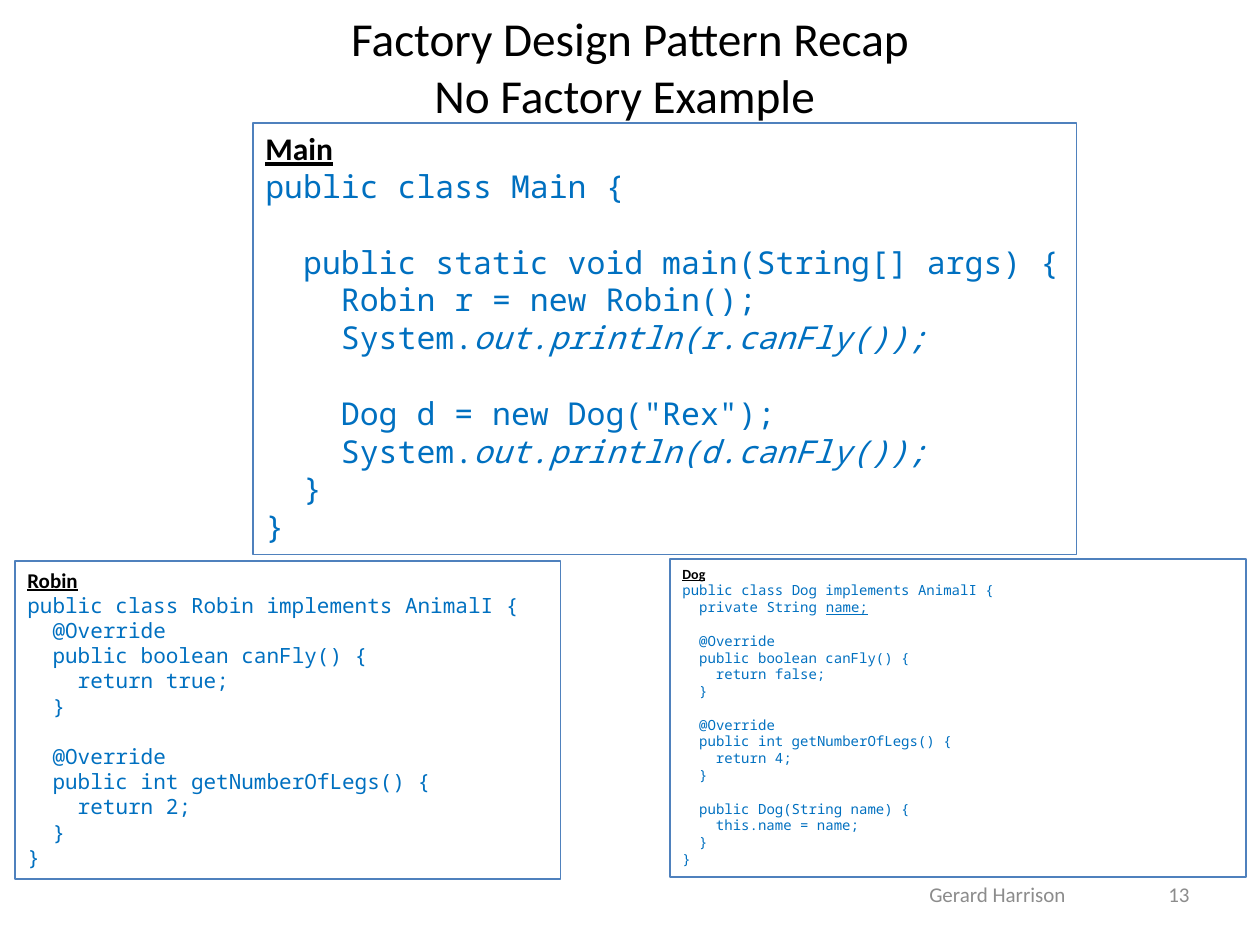
from dataclasses import dataclass

from pptx import Presentation
from pptx.dml.color import RGBColor
from pptx.enum.shapes import MSO_SHAPE
from pptx.enum.text import MSO_ANCHOR, MSO_AUTO_SIZE, PP_ALIGN
from pptx.util import Emu, Pt

PIXEL = 914400 // 126
CODE_ADVANCE = 0.6  # character width of the code font, in ems
LINE_PITCH = 1.2  # height of a code line, in ems


@dataclass(frozen=True)
class Theme:
    """Fonts, colours and type sizes of the slide."""
    text_font: str = "Calibri"
    code_font: str = "Noto Sans Mono"
    ink: str = "000000"
    code: str = "0070C0"
    border: str = "4F81BD"
    muted: str = "8C8C8C"
    title_size: int = 27
    footer_size: int = 12
    main_size: int = 18
    robin_size: int = 12
    dog_size: int = 8


theme = Theme()


def to_emu(box):
    """Turn pixel lengths into EMU."""
    return [Emu(length * PIXEL) for length in box]


def add_run(paragraph, text, size, color, **formats):
    """Add a run with its size, colour and font settings."""
    run = paragraph.add_run()
    run.text = text
    run.font.color.rgb = RGBColor.from_string(color)
    settings = {"size": Pt(size), "name": theme.text_font, **formats}
    for name, value in settings.items():
        setattr(run.font, name, value)


# Two-space steps set the indent, an empty line a gap, and ~ starts emphasis.
main_code = """public class Main {

  public static void main(String[] args) {
    Robin r = new Robin();
    System.~out.println(r.canFly());

    Dog d = new Dog("Rex");
    System.~out.println(d.canFly());
  }
}"""

robin_code = """public class Robin implements AnimalI {
  @Override
  public boolean canFly() {
    return true;
  }

  @Override
  public int getNumberOfLegs() {
    return 2;
  }
}"""

dog_code = """public class Dog implements AnimalI {
  private String ~name;

  @Override
  public boolean canFly() {
    return false;
  }

  @Override
  public int getNumberOfLegs() {
    return 4;
  }

  public Dog(String name) {
    this.name = name;
  }
}"""

panels = [
    ("Main", main_code, theme.main_size, {"italic": True}, (253, 123, 824, 432)),
    ("Robin", robin_code, theme.robin_size, {}, (15, 561, 546, 318)),
    ("Dog", dog_code, theme.dog_size, {"underline": True}, (670, 559, 576, 318)),
]

footers = [
    ("Gerard Harrison", PP_ALIGN.CENTER, (798, 869, 399, 50)),
    ("13", PP_ALIGN.RIGHT, (908, 869, 294, 50)),
]

presentation = Presentation()
presentation.slide_width, presentation.slide_height = to_emu((1260, 945))
slide = presentation.slides.add_slide(presentation.slide_layouts[5])

title = slide.shapes.title
title.left, title.top, title.width, title.height = to_emu((63, 37, 1134, 58))
title.text_frame.auto_size = MSO_AUTO_SIZE.NONE
title.text_frame.vertical_anchor = MSO_ANCHOR.MIDDLE
title_paragraph = title.text_frame.paragraphs[0]
title_paragraph.alignment = PP_ALIGN.CENTER
add_run(title_paragraph, "Factory Design Pattern Recap", theme.title_size, theme.ink)
title_paragraph.add_line_break()
add_run(title_paragraph, "No Factory Example ", theme.title_size, theme.ink)

for text, alignment, box in footers:
    footer = slide.shapes.add_textbox(*to_emu(box))
    footer.text_frame.word_wrap = True
    footer.text_frame.vertical_anchor = MSO_ANCHOR.MIDDLE
    paragraph = footer.text_frame.paragraphs[0]
    paragraph.alignment = alignment
    add_run(paragraph, text, theme.footer_size, theme.muted)

for heading, code, size, emphasis, box in panels:
    panel = slide.shapes.add_shape(MSO_SHAPE.RECTANGLE, *to_emu(box))
    panel.shadow.inherit = False
    panel.fill.background()
    panel.line.color.rgb = RGBColor.from_string(theme.border)
    panel.line.width = Pt(0.75)
    frame = panel.text_frame
    frame.word_wrap = True
    frame.auto_size = MSO_AUTO_SIZE.SHAPE_TO_FIT_TEXT
    frame.vertical_anchor = MSO_ANCHOR.TOP

    paragraph = frame.paragraphs[0]
    paragraph.alignment = PP_ALIGN.LEFT
    add_run(paragraph, heading, size, theme.ink, bold=True, underline=True)

    gap = 0
    for line in code.splitlines():
        if not line:
            gap = LINE_PITCH * size
            continue
        paragraph = frame.add_paragraph()
        paragraph.alignment = PP_ALIGN.LEFT
        paragraph.space_before = Pt(gap)
        gap = 0
        statement = line.lstrip()
        indent = Pt((len(line) - len(statement)) * CODE_ADVANCE * size)
        paragraph_properties = paragraph._p.get_or_add_pPr()
        paragraph_properties.set("marL", str(indent))
        paragraph_properties.set("indent", "0")
        plain, _, emphasised = statement.partition("~")
        add_run(paragraph, plain, size, theme.code, name=theme.code_font)
        if emphasised:
            add_run(paragraph, emphasised, size, theme.code,
                    name=theme.code_font, **emphasis)

presentation.save("out.pptx")
